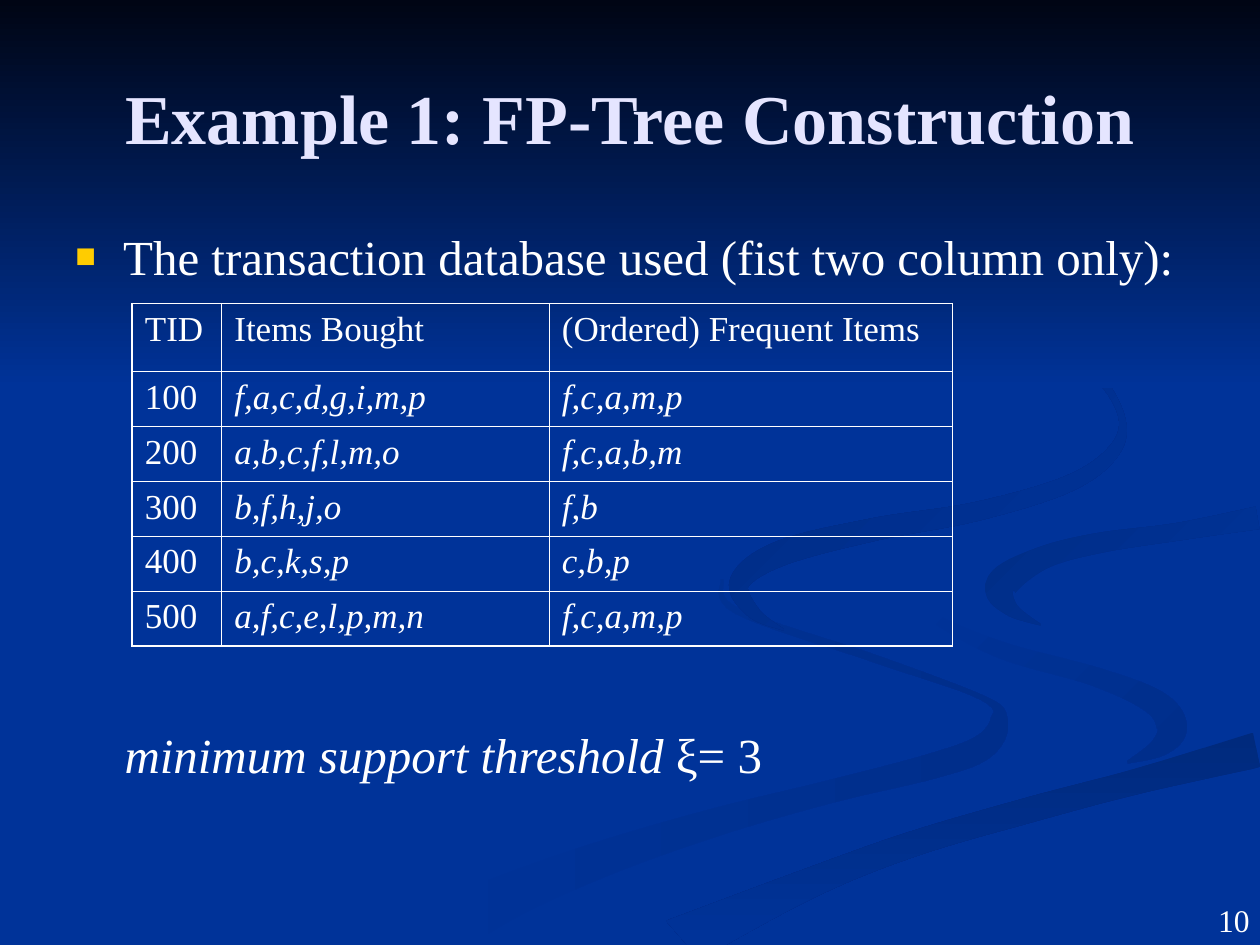
from math import hypot

from lxml import etree
from pptx import Presentation
from pptx.dml.color import RGBColor
from pptx.enum.shapes import MSO_SHAPE
from pptx.enum.text import MSO_ANCHOR, PP_ALIGN
from pptx.oxml.ns import qn
from pptx.util import Inches, Pt

RECTANGLE = MSO_SHAPE.RECTANGLE
MIDDLE, TOP = MSO_ANCHOR.MIDDLE, MSO_ANCHOR.TOP
CENTER, LEFT = PP_ALIGN.CENTER, PP_ALIGN.LEFT
FONT = "Times New Roman"
WHITE = RGBColor(0xFF, 0xFF, 0xFF)
LAVENDER = RGBColor(0xE5, 0xE5, 0xFF)
GOLD = RGBColor(0xFF, 0xCC, 0x00)
BLUE = RGBColor(0x00, 0x33, 0x99)
NIGHT = RGBColor(0x00, 0x05, 0x14)
SHADE_LEFT = RGBColor(0x00, 0x2E, 0x8B)
SHADE_BAND = RGBColor(0x00, 0x2A, 0x7D)
SHADE_RIGHT = RGBColor(0x00, 0x2D, 0x86)
SHADE_TOP = RGBColor(0x00, 0x2B, 0x82)
OUTER, INNER = Pt(1.08), Pt(0.45)
SLIDE_WIDTH, SLIDE_HEIGHT = 10, 7.5
CURVE_STEPS = 8

# Each ribbon knot is (x, y, thickness) along the centre line.
LOWER_LEFT = [(5.73, 4.6, 0.02), (5.85, 4.85, 0.05), (6.95, 5.23, 0.06), (7.8, 5.54, 0.04),
              (7.93, 5.72, 0.14), (7.8, 5.93, 0.2), (7.4, 6.08, 0.2), (6.6, 6.28, 0.18),
              (5.7, 6.52, 0.22), (4.8, 6.81, 0.28), (4, 7.13, 0.36), (3.3, 7.49, 0.5)]
RIGHT_HOOK = [(7.24, 4.64, 0.01), (7.33, 4.85, 0.05), (7.92, 5.15, 0.13), (8.69, 5.37, 0.15),
              (9.16, 5.57, 0.2), (9.3, 5.77, 0.24), (9.2, 5.93, 0.15), (8.95, 6.05, 0.02)]
BOTTOM_BAND = [(5.37, 7.49, 0.4), (6.4, 7.02, 0.24), (7.24, 6.7, 0.2), (8.2, 6.42, 0.2),
               (9.03, 6.2, 0.2), (9.98, 5.95, 0.28)]
RIGHT_CURL = [(9.98, 4.11, 0.18), (9.35, 4.22, 0.14), (8.72, 4.31, 0.16), (8.27, 4.43, 0.18),
              (7.95, 4.64, 0.25), (8.02, 4.83, 0.12), (8.26, 4.96, 0.01)]
TOP_CURL = [(7.62, 2.33, 0.01), (8.24, 2.64, 0.04), (8.68, 2.95, 0.06), (8.9, 3.3, 0.05),
            (8.84, 3.58, 0.1), (8.48, 3.84, 0.13), (7.75, 4.06, 0.15), (6.95, 4.2, 0.18),
            (6.2, 4.39, 0.2), (5.87, 4.62, 0.16), (5.98, 4.86, 0.1), (6.22, 5, 0.01)]
RIBBONS = [
    (LOWER_LEFT, BLUE, SHADE_LEFT, 0),
    (RIGHT_HOOK, BLUE, SHADE_LEFT, 45),
    (BOTTOM_BAND, SHADE_BAND, BLUE, 90),
    (RIGHT_CURL, SHADE_RIGHT, BLUE, 45),
    (TOP_CURL, SHADE_TOP, BLUE, 45)]
TRANSACTIONS = [
    ("TID", "Items Bought", "(Ordered) Frequent Items"),
    ("100", "f,a,c,d,g,i,m,p", "f,c,a,m,p"),
    ("200", "a,b,c,f,l,m,o", "f,c,a,b,m"),
    ("300", "b,f,h,j,o", "f,b"),
    ("400", "b,c,k,s,p", "c,b,p"),
    ("500", "a,f,c,e,l,p,m,n", "f,c,a,m,p")]


def write(paragraph, text, size=28, color=WHITE, bold=False, italic=False, align=LEFT, before=0):
    """Add a formatted run to a paragraph."""
    paragraph.alignment = align
    paragraph.space_before = Pt(before)
    run = paragraph.add_run()
    run.text = text
    font = run.font
    font.name, font.size, font.bold, font.italic = FONT, Pt(size), bold, italic
    font.color.rgb = color


def add_text_frame(slide, left, top, width, height, anchor=TOP):
    """Add a wrapping text box and return its frame."""
    frame = slide.shapes.add_textbox(*map(Inches, (left, top, width, height))).text_frame
    frame.word_wrap = True
    frame.vertical_anchor = anchor
    return frame


def shade(shape, start, end, angle):
    """Fill a shape with a clockwise-angled gradient and no outline."""
    shape.shadow.inherit = False
    shape.line.fill.background()
    shape.fill.gradient()
    shape.fill.gradient_angle = -angle % 360
    for stop, color in zip(shape.fill.gradient_stops, (start, end)):
        stop.color.rgb = color


def smooth(knots):
    """Return points on a Catmull-Rom curve through the knots."""
    padded = [knots[0], *knots, knots[-1]]
    curve = []
    for a, b, c, d in zip(padded, padded[1:], padded[2:], padded[3:]):
        for t in (step / CURVE_STEPS for step in range(CURVE_STEPS)):
            curve.append([q + t / 2 * (r - p + t * (2*p - 5*q + 4*r - s + t * (3*q - p - 3*r + s)))
                          for p, q, r, s in zip(a, b, c, d)])
    return curve + [knots[-1]]


def ribbon_outline(knots):
    """Return both edges of a ribbon as one closed outline within the slide."""
    curve = smooth(knots)
    edges = [], []
    for i, (x, y, thickness) in enumerate(curve):
        before, after = curve[max(i - 1, 0)], curve[min(i + 1, len(curve) - 1)]
        dx, dy = after[0] - before[0], after[1] - before[1]
        reach = thickness / 2 / hypot(dx, dy)
        for edge, side in zip(edges, (reach, -reach)):
            edge.append((min(x - dy * side, SLIDE_WIDTH), min(y + dx * side, SLIDE_HEIGHT)))
    return edges[0] + edges[1][::-1]


def draw_backdrop(slide, left, top, width):
    """Paint the blue ground, the ribbons and the dark upper fade."""
    slide.background.fill.solid()
    slide.background.fill.fore_color.rgb = BLUE
    for knots, start, end, angle in RIBBONS:
        points = [(Inches(left + x), Inches(top + y)) for x, y in ribbon_outline(knots)]
        builder = slide.shapes.build_freeform(*points[0])
        builder.add_line_segments(points[1:], close=True)
        shade(builder.convert_to_shape(), start, end, angle)
    fade = slide.shapes.add_shape(RECTANGLE, *map(Inches, (left, top, width, 3.08)))
    shade(fade, NIGHT, BLUE, 90)


def set_indent(paragraph, margin, indent):
    """Set the left margin and first-line indent and return the properties."""
    properties = paragraph._p.get_or_add_pPr()
    properties.set("marL", str(Inches(margin)))
    properties.set("indent", str(Inches(indent)))
    return properties


def add_bullet(properties):
    """Add a small gold square bullet to paragraph properties."""
    color = etree.SubElement(properties, qn("a:buClr"))
    etree.SubElement(color, qn("a:srgbClr"), val=str(GOLD))
    etree.SubElement(properties, qn("a:buSzPct"), val="70000")
    etree.SubElement(properties, qn("a:buFont"), typeface=FONT)
    etree.SubElement(properties, qn("a:buChar"), char="■")


def draw_body(slide, left, top, width, height):
    """Write the bulleted statement and the threshold below the table."""
    frame = add_text_frame(slide, left, top, width, height)
    statement = frame.paragraphs[0]
    write(statement, "The transaction database used (fist two column only):", before=7)
    add_bullet(set_indent(statement, 0.38, -0.38))
    threshold = frame.add_paragraph()
    for text, italic in (("minimum support threshold", True), (" ξ= 3", False)):
        write(threshold, text, italic=italic, before=251)
    set_indent(threshold, 0.39, 0)


def set_borders(cell, widths):
    """Draw white cell borders from a mapping of side to line width."""
    properties = cell._tc.get_or_add_tcPr()
    for position, (side, width) in enumerate(widths.items()):
        line = etree.Element(qn("a:ln" + side), w=str(width))
        fill = etree.SubElement(line, qn("a:solidFill"))
        etree.SubElement(fill, qn("a:srgbClr"), val=str(WHITE))
        properties.insert(position, line)


def draw_transactions(slide, left, top, width, height):
    """Build the transaction table with a taller header and equal data rows."""
    id_width, bought_width, header = 0.71, 2.6, 0.54
    columns = [id_width, bought_width, width - id_width - bought_width]
    data_rows = len(TRANSACTIONS) - 1
    heights = [header] + [(height - header) / data_rows] * data_rows
    box = map(Inches, (left, top, width, height))
    table = slide.shapes.add_table(len(heights), len(columns), *box).table
    table.first_row = table.horz_banding = False
    for column, column_width in zip(table.columns, columns):
        column.width = Inches(column_width)
    for r, (row, row_height) in enumerate(zip(table.rows, heights)):
        row.height = Inches(row_height)
        for c, cell in enumerate(row.cells):
            cell.fill.background()
            write(cell.text_frame.paragraphs[0], TRANSACTIONS[r][c], size=20,
                  italic=r > 0 and c > 0, before=5)
            edges = {"L": c == 0, "R": c == len(columns) - 1, "T": r == 0, "B": r == data_rows}
            set_borders(cell, {side: OUTER if edge else INNER for side, edge in edges.items()})


def main():
    """Build and save the slide."""
    deck = Presentation()
    deck.slide_width, deck.slide_height = Inches(SLIDE_WIDTH), Inches(SLIDE_HEIGHT)
    slide = deck.slides.add_slide(deck.slide_layouts[6])
    draw_backdrop(slide, 0, 0, SLIDE_WIDTH)
    number = add_text_frame(slide, 9.57, 7.1, 0.59, 0.44)
    write(number.paragraphs[0], "10", size=18)
    title = add_text_frame(slide, 0.5, 0.3, 9, 1.25, anchor=MIDDLE)
    write(title.paragraphs[0], "Example 1: FP-Tree Construction", size=40,
          color=LAVENDER, bold=True, align=CENTER)
    draw_body(slide, 0.5, 1.75, 9.2, 5.31)
    draw_transactions(slide, 1.05, 2.41, 6.51, 2.72)
    deck.save("out.pptx")


main()
